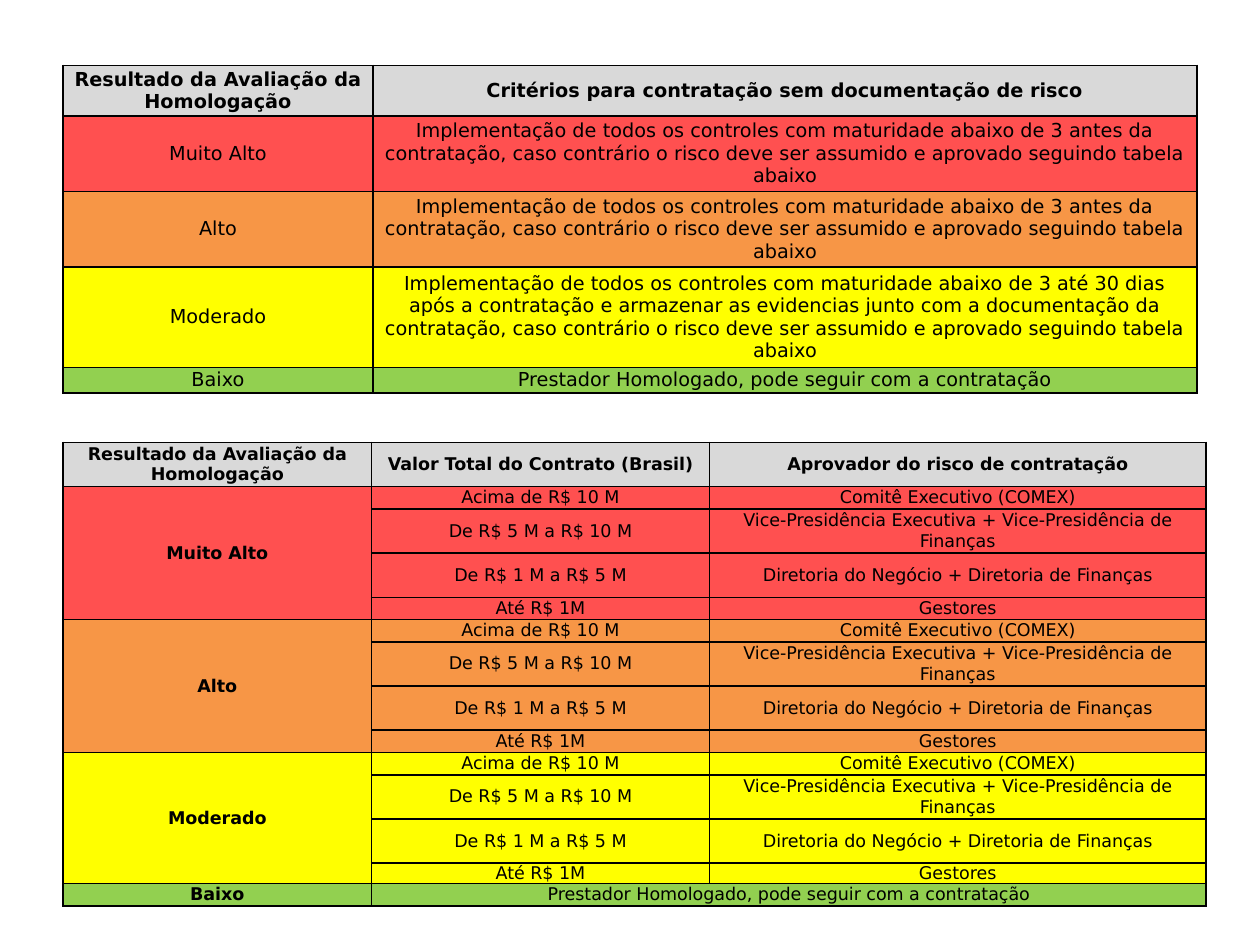
from lxml import etree
from pptx import Presentation
from pptx import util as u
from pptx.dml.color import RGBColor
from pptx.enum import text
from pptx.oxml import ns

GRAY, RED, ORANGE, YELLOW, GREEN = "D9D9D9", "FF5050", "F79646", "FFFF00", "92D050"
RESULT = "Resultado da Avaliação da Homologação"
APPROVED = "Prestador Homologado, pode seguir com a contratação"
BEFORE = "Implementação de todos os controles com maturidade abaixo de 3 "
OTHERWISE = "contratação, caso contrário o risco deve ser assumido e aprovado seguindo tabela abaixo"
BEFORE_HIRING = BEFORE + "antes da " + OTHERWISE
WITHIN_30_DAYS = (BEFORE + "até 30 dias após a contratação e armazenar as evidencias "
                  "junto com a documentação da " + OTHERWISE)
LEVELS = [("Muito Alto", RED), ("Alto", ORANGE), ("Moderado", YELLOW)]
APPROVERS = [
    ("Acima de R$ 10 M", "Comitê Executivo (COMEX)"),
    ("De R$ 5 M a R$ 10 M", "Vice-Presidência Executiva + Vice-Presidência de Finanças"),
    ("De R$ 1 M a R$ 5 M", "Diretoria do Negócio + Diretoria de Finanças"),
    ("Até R$ 1M", "Gestores"),
]


def rgb(color):
    return RGBColor.from_string(color)


class Deck:
    font = "DejaVu Sans"
    ink = "000000"
    border = u.Pt(1)

    def __init__(self, width, height):
        self.prs = Presentation()
        self.prs.slide_width, self.prs.slide_height = u.Cm(width), u.Cm(height)
        self.slide = self.prs.slides.add_slide(self.prs.slide_layouts[6])

    def table(self, left, top, widths, heights, fills):
        """Add an empty table with one fill colour per row."""
        frame = self.slide.shapes.add_table(
            len(heights), len(widths), u.Cm(left), u.Cm(top),
            u.Cm(sum(widths)), u.Cm(sum(heights)))
        table = frame.table
        table.first_row = table.horz_banding = False
        for column, width in zip(table.columns, widths):
            column.width = u.Cm(width)
        for row, height, fill in zip(table.rows, heights, fills):
            row.height = u.Cm(height)
            for cell in row.cells:
                self.borders(cell)
                cell.fill.solid()
                cell.fill.fore_color.rgb = rgb(fill)
        return table

    def borders(self, cell):
        tc_pr = cell._tc.get_or_add_tcPr()
        for side in ("a:lnL", "a:lnR", "a:lnT", "a:lnB"):
            ln = etree.SubElement(tc_pr, ns.qn(side), w=str(self.border))
            fill = etree.SubElement(ln, ns.qn("a:solidFill"))
            etree.SubElement(fill, ns.qn("a:srgbClr"), val=self.ink)

    def cell_text(self, cell, words, size, margin, bold=False):
        cell.margin_left = cell.margin_right = u.Cm(margin)
        cell.margin_top = cell.margin_bottom = 0
        cell.vertical_anchor = text.MSO_ANCHOR.MIDDLE
        p = cell.text_frame.paragraphs[0]
        p.alignment = text.PP_ALIGN.CENTER
        r = p.add_run()
        r.text = words
        r.font.name, r.font.size, r.font.bold = self.font, u.Pt(size), bold
        r.font.color.rgb = rgb(self.ink)


def add_criteria(deck):
    rows = [(RESULT, "Critérios para contratação sem documentação de risco")]
    criteria = [BEFORE_HIRING, BEFORE_HIRING, WITHIN_30_DAYS]
    rows += [(level, rule) for (level, _), rule in zip(LEVELS, criteria)]
    rows.append(("Baixo", APPROVED))
    fills = [GRAY, RED, ORANGE, YELLOW, GREEN]
    table = deck.table(1.27, 1.32, [6.25, 16.61], [1.02, 1.52, 1.52, 2.03, 0.51], fills)
    for i, row in enumerate(rows):
        for j, words in enumerate(row):
            deck.cell_text(table.cell(i, j), words, 11, 0.1, bold=i == 0)


def add_approvers(deck):
    step = len(APPROVERS)
    rows = [(RESULT, "Valor Total do Contrato (Brasil)", "Aprovador do risco de contratação")]
    fills = [GRAY]
    for level, color in LEVELS:
        rows += [("" if k else level, *pair) for k, pair in enumerate(APPROVERS)]
        fills += [color] * step
    rows.append(("Baixo", APPROVED, ""))
    fills.append(GREEN)

    heights = [0.89] + [0.45, 0.89, 0.89, 0.45] * len(LEVELS) + [0.45]
    heights[-2] = 0.1  # grows to the height of its text
    table = deck.table(1.27, 8.92, [6.22, 6.81, 10.01], heights, fills)
    last = len(rows) - 1
    for top in range(1, last, step):
        table.cell(top, 0).merge(table.cell(top + step - 1, 0))
    table.cell(last, 1).merge(table.cell(last, 2))
    for i, row in enumerate(rows):
        for j, words in enumerate(row):
            if words:
                deck.cell_text(table.cell(i, j), words, 10, 0.08, bold=i == 0 or j == 0)


def main():
    deck = Deck(25.4, 19.05)
    add_criteria(deck)
    add_approvers(deck)
    deck.prs.save("out.pptx")


if __name__ == "__main__":
    main()
